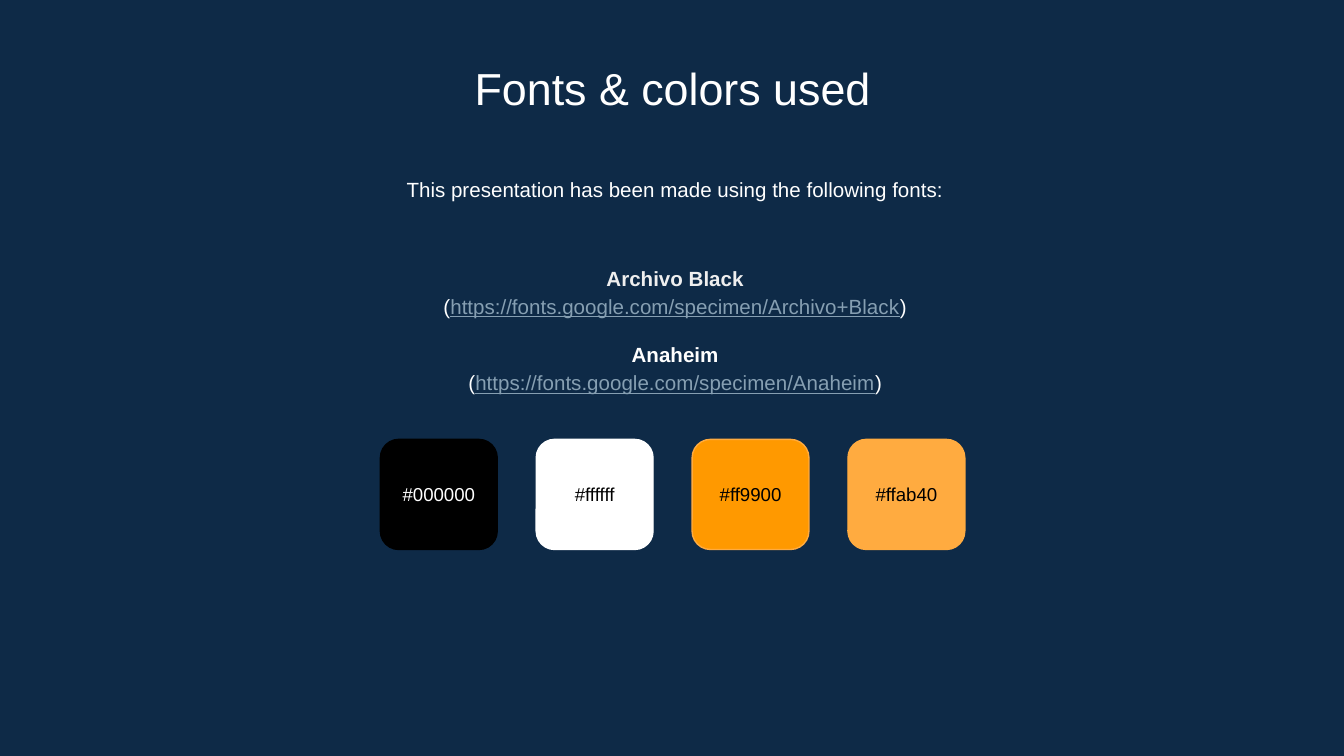
from pptx import Presentation
from pptx.dml.color import RGBColor
from pptx.enum.shapes import MSO_SHAPE as Shape
from pptx.enum.text import MSO_ANCHOR as Anchor, PP_ALIGN as Align
from pptx.util import Pt

BACKGROUND = "0E2A47"
WHITE = "FFFFFF"
BLACK = "000000"
PALE_GREY = "EFEFEF"
LINK_BLUE = "869FB2"
ORANGE = "FF9900"
LIGHT_ORANGE = "FFAB40"

FONTS = [
    ("Archivo Black", PALE_GREY, "https://fonts.google.com/specimen/Archivo+Black"),
    ("Anaheim", WHITE, "https://fonts.google.com/specimen/Anaheim"),
]
SWATCHES = [
    (BLACK, BLACK, WHITE),
    (WHITE, WHITE, BLACK),
    (ORANGE, LIGHT_ORANGE, BLACK),
    (LIGHT_ORANGE, LIGHT_ORANGE, BLACK),
]
SWATCH_LEFT, SWATCH_TOP, SWATCH_STEP = 203.8, 235.4, 83.5
SWATCH_WIDTH, SWATCH_HEIGHT, LABEL_HEIGHT = 62.6, 59, 34.6


def color(hex_text):
    """Turn a hex string into a colour."""
    return RGBColor.from_string(hex_text)


def apply(target, values):
    """Set each named attribute of the target."""
    for name, value in values.items():
        setattr(target, name, value)


def add_text_box(slide, box, anchor=Anchor.TOP):
    """Add an empty wrapping text box and return its text frame."""
    frame = slide.shapes.add_textbox(*map(Pt, box)).text_frame
    margins = dict.fromkeys(
        ("margin_left", "margin_top", "margin_right", "margin_bottom"), Pt(7.2))
    apply(frame, {"word_wrap": True, "vertical_anchor": anchor, **margins})
    return frame


def write_paragraph(paragraph, runs, size, **layout):
    """Fill a centred paragraph with (text, colour, font values) runs."""
    apply(paragraph, {"alignment": Align.CENTER, **layout})
    for text, hex_text, values in runs:
        run = paragraph.add_run()
        run.text = text
        apply(run.font, {"name": "Arial", "size": Pt(size), **values})
        run.font.color.rgb = color(hex_text)


def add_line_of_text(slide, box, text, hex_text, size, anchor=Anchor.TOP, **layout):
    """Add a text box that holds one plain paragraph."""
    frame = add_text_box(slide, box, anchor)
    write_paragraph(frame.paragraphs[0], [(text, hex_text, {})], size, **layout)


def add_font_list(slide, box):
    """List each font name with its address below it."""
    frame = add_text_box(slide, box, Anchor.MIDDLE)
    for index, (name, name_color, address) in enumerate(FONTS):
        heading = frame.add_paragraph() if index else frame.paragraphs[0]
        write_paragraph(heading, [(name, name_color, {"bold": True})], 11,
                        line_spacing=1.15, space_before=Pt(10.6 if index else 0))
        runs = [("(", WHITE, {}), (address, LINK_BLUE, {"underline": True}), (")", WHITE, {})]
        write_paragraph(frame.add_paragraph(), runs, 11, line_spacing=1.15)


def add_swatch(slide, left, fill, line, label_color):
    """Add a rounded colour swatch with its hex code in the middle."""
    shape = slide.shapes.add_shape(
        Shape.ROUNDED_RECTANGLE, *map(Pt, (left, SWATCH_TOP, SWATCH_WIDTH, SWATCH_HEIGHT)))
    shape.shadow.inherit = False
    shape.fill.solid()
    shape.fill.fore_color.rgb = color(fill)
    shape.line.color.rgb = color(line)
    shape.line.width = Pt(0.75)
    label_top = SWATCH_TOP + (SWATCH_HEIGHT - LABEL_HEIGHT) / 2
    add_line_of_text(slide, (left, label_top, SWATCH_WIDTH, LABEL_HEIGHT),
                     f"#{fill.lower()}", label_color, 10, Anchor.MIDDLE)


def main():
    """Build the slide and save it."""
    presentation = Presentation()
    apply(presentation, {"slide_width": Pt(720), "slide_height": Pt(405)})
    slide = presentation.slides.add_slide(presentation.slide_layouts[6])
    slide.background.fill.solid()
    slide.background.fill.fore_color.rgb = color(BACKGROUND)

    add_line_of_text(slide, (82.8, 25.2, 555, 38.2), "Fonts & colors used", WHITE, 24)
    add_line_of_text(slide, (84.2, 85.7, 555, 34.6),
                     "This presentation has been made using the following fonts:",
                     WHITE, 11, line_spacing=1.15)
    add_font_list(slide, (84.2, 126.7, 555, 98.6))
    for index, swatch in enumerate(SWATCHES):
        add_swatch(slide, SWATCH_LEFT + index * SWATCH_STEP, *swatch)

    presentation.save("out.pptx")


if __name__ == "__main__":
    main()
